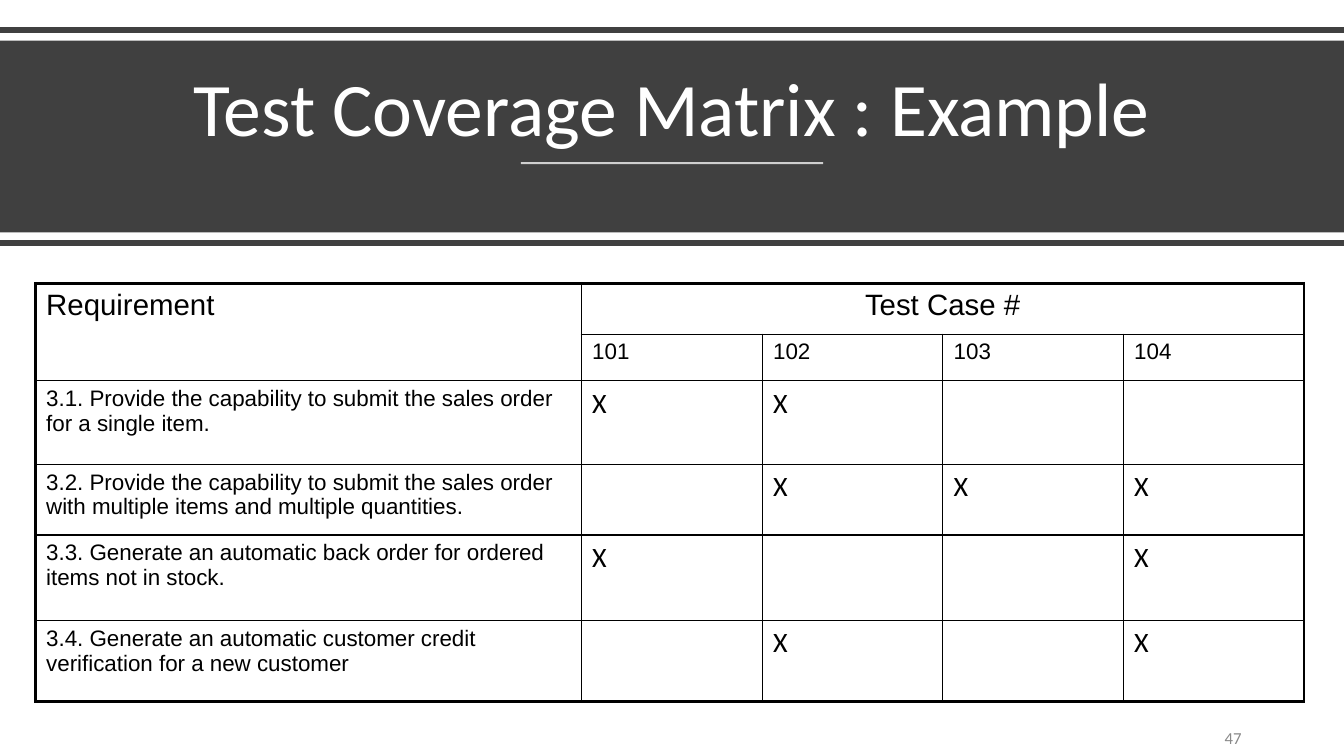
from lxml import etree
from pptx import Presentation
from pptx.dml.color import RGBColor
from pptx.enum.shapes import MSO_CONNECTOR, MSO_SHAPE
from pptx.enum.text import MSO_ANCHOR, PP_ALIGN
from pptx.oxml.ns import qn
from pptx.util import Pt

STRAIGHT = MSO_CONNECTOR.STRAIGHT
RECTANGLE = MSO_SHAPE.RECTANGLE
TOP, MIDDLE, BOTTOM = MSO_ANCHOR.TOP, MSO_ANCHOR.MIDDLE, MSO_ANCHOR.BOTTOM
LEFT, CENTER, RIGHT = PP_ALIGN.LEFT, PP_ALIGN.CENTER, PP_ALIGN.RIGHT

WHITE = RGBColor(0xFF, 0xFF, 0xFF)
BLACK = RGBColor(0x00, 0x00, 0x00)
CHARCOAL = RGBColor(0x40, 0x40, 0x40)
GREY = RGBColor(0x89, 0x89, 0x89)

PAGE_WIDTH, PAGE_HEIGHT = 960, 540
THICK, THIN = 2.25, 1
COLUMN_WIDTHS = [390, 129.25, 129, 129, 129]
ROW_HEIGHTS = [36.5, 31.25, 59.75, 50.5, 61, 58]
TEST_CASES = ["101", "102", "103", "104"]
COVERAGE = [
    ("3.1. Provide the capability to submit the sales order for a single item.",
     ["101", "102"]),
    ("3.2. Provide the capability to submit the sales order with multiple items "
     "and multiple quantities.", ["102", "103", "104"]),
    ("3.3. Generate an automatic back order for ordered items not in stock.",
     ["101", "104"]),
    ("3.4. Generate an automatic customer credit verification for a new customer",
     ["102", "104"]),
]


def write_text(frame, text, size, font="Calibri", color=BLACK, align=LEFT,
               anchor=TOP, spacing=1.0):
    frame.word_wrap = True
    frame.vertical_anchor = anchor
    para = frame.paragraphs[0]
    para.alignment = align
    para.line_spacing = spacing
    span = para.add_run()
    span.text = text
    span.font.name = font
    span.font.size = Pt(size)
    span.font.color.rgb = color


def add_text_box(page, left, top, width, height, text, **text_format):
    box = page.shapes.add_textbox(Pt(left), Pt(top), Pt(width), Pt(height))
    write_text(box.text_frame, text, **text_format)


def add_rule(page, left, top, width, color, weight, opacity=100):
    rule = page.shapes.add_connector(
        STRAIGHT, Pt(left), Pt(top), Pt(left + width), Pt(top))
    rule.line.color.rgb = color
    rule.line.width = Pt(weight)
    properties = rule._element.spPr
    if opacity < 100:
        solid = properties.find(".//" + qn("a:srgbClr"))
        etree.SubElement(solid, qn("a:alpha"), val=str(opacity * 1000))
    etree.SubElement(properties, qn("a:effectLst"))


def set_borders(cell, weights):
    properties = cell._tc.get_or_add_tcPr()
    for side, weight in weights.items():
        border = etree.SubElement(
            properties, qn("a:ln" + side), w=str(int(Pt(weight))))
        solid = etree.SubElement(border, qn("a:solidFill"))
        etree.SubElement(solid, qn("a:srgbClr"), val=str(BLACK))


def add_banner(page, left, top, width, height):
    add_rule(page, left, top, width, CHARCOAL, 4)
    band = page.shapes.add_shape(
        RECTANGLE, Pt(left), Pt(top + 7.5), Pt(width), Pt(height - 15))
    band.shadow.inherit = False
    band.fill.solid()
    band.fill.fore_color.rgb = CHARCOAL
    band.line.fill.background()
    add_text_box(page, left + 41.5, top + 17.5, width - 83, 73.5,
                 "Test Coverage Matrix : Example", size=54, color=WHITE,
                 align=CENTER, anchor=BOTTOM, spacing=0.9)
    add_rule(page, left + (width - 216) / 2, top + 95, 216, WHITE, 1.5, 75)
    add_rule(page, left, top + height, width, CHARCOAL, 4)


def add_matrix(page, left, top):
    row_count, column_count = len(ROW_HEIGHTS), len(COLUMN_WIDTHS)
    table = page.shapes.add_table(
        row_count, column_count, Pt(left), Pt(top),
        Pt(sum(COLUMN_WIDTHS)), Pt(sum(ROW_HEIGHTS))).table
    table.first_row = False
    table.horz_banding = False
    for column, width in zip(table.columns, COLUMN_WIDTHS):
        column.width = Pt(width)
    for row, height in zip(table.rows, ROW_HEIGHTS):
        row.height = Pt(height)

    for row in range(row_count):
        for column in range(column_count):
            cell = table.cell(row, column)
            cell.margin_left = cell.margin_right = Pt(7.75)
            cell.margin_top = cell.margin_bottom = Pt(4)
            set_borders(cell, {
                "L": THICK if column == 0 else THIN,
                "R": THIN,
                "T": THICK if row == 0 else THIN,
                "B": THICK if row == row_count - 1 else THIN,
            })
            cell.fill.background()

    table.cell(0, 0).merge(table.cell(1, 0))
    table.cell(0, 1).merge(table.cell(0, column_count - 1))
    write_text(table.cell(0, 0).text_frame, "Requirement", 21, "Arial")
    write_text(table.cell(0, 1).text_frame, "Test Case #", 21, "Arial", align=CENTER)
    for column, case in enumerate(TEST_CASES, 1):
        write_text(table.cell(1, column).text_frame, case, 16, "Arial")
    for row, (requirement, covering_cases) in enumerate(COVERAGE, 2):
        write_text(table.cell(row, 0).text_frame, requirement, 16, "Arial")
        for case in covering_cases:
            column = TEST_CASES.index(case) + 1
            write_text(table.cell(row, column).text_frame, "X", 20)


def main():
    deck = Presentation()
    deck.slide_width, deck.slide_height = Pt(PAGE_WIDTH), Pt(PAGE_HEIGHT)
    page = deck.slides.add_slide(deck.slide_layouts[6])
    add_banner(page, 0, 21.5, PAGE_WIDTH, 152)
    add_matrix(page, 25.25, 202.25)
    add_text_box(page, 678, 513.5, 216, 27, "47", size=12, color=GREY,
                 align=RIGHT, anchor=MIDDLE)
    deck.save("out.pptx")


if __name__ == "__main__":
    main()
